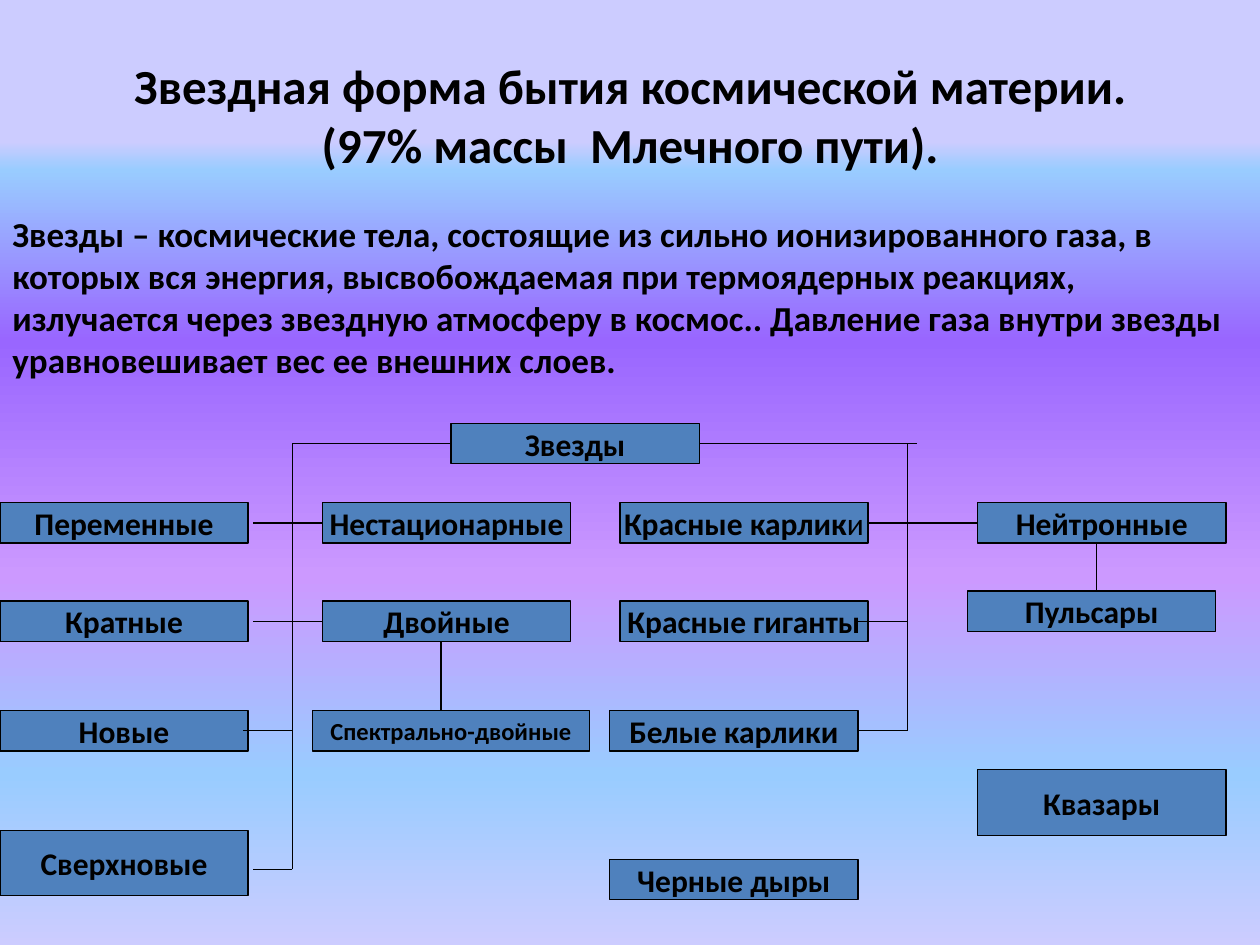
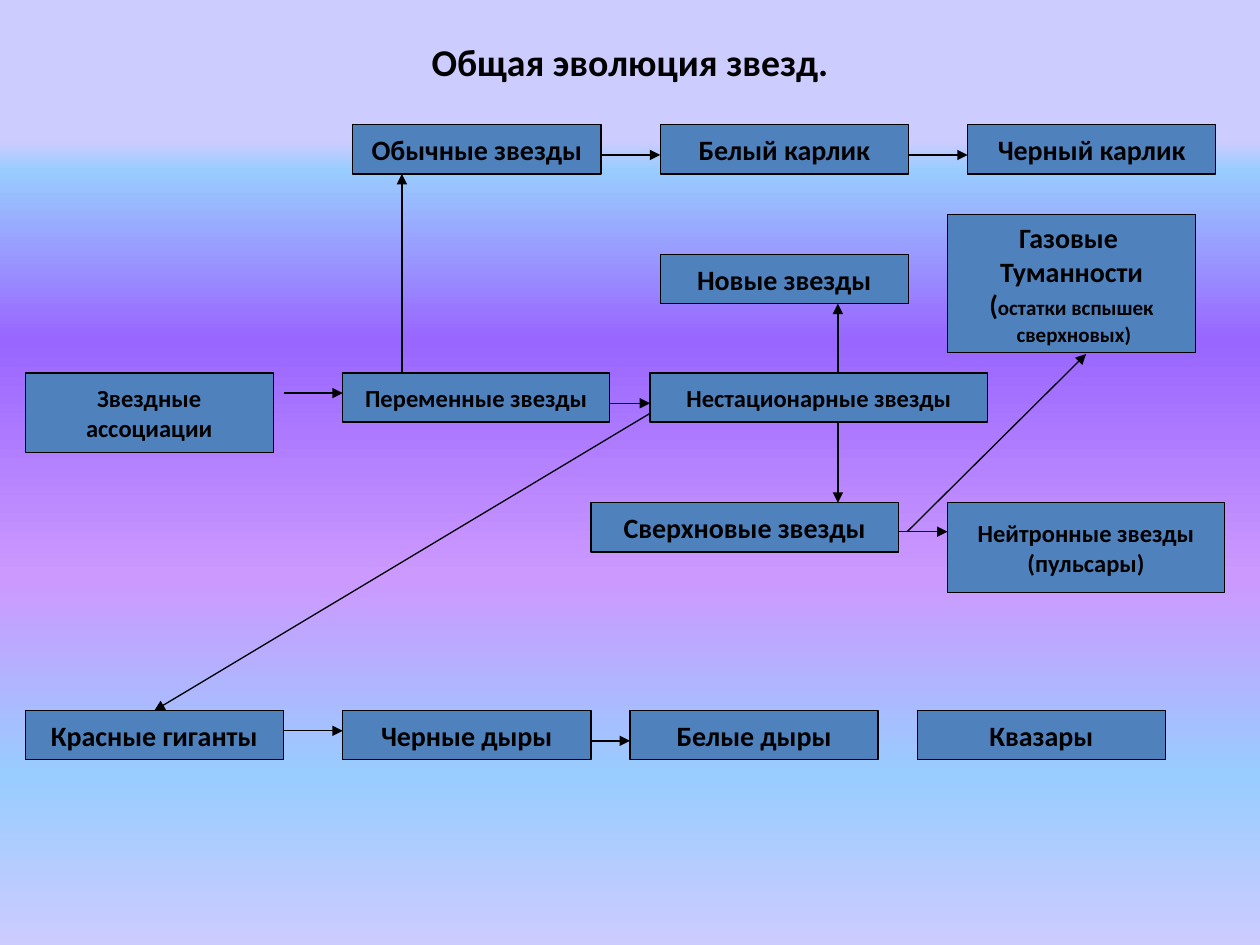
from dataclasses import dataclass

from lxml import etree
from pptx import Presentation
from pptx.dml.color import RGBColor
from pptx.enum.shapes import MSO_CONNECTOR, MSO_SHAPE
from pptx.enum.text import MSO_ANCHOR, MSO_AUTO_SIZE, PP_ALIGN
from pptx.oxml.ns import qn
from pptx.util import Inches, Pt

RECTANGLE = MSO_SHAPE.RECTANGLE
STRAIGHT = MSO_CONNECTOR.STRAIGHT
MIDDLE, TOP_ANCHOR = MSO_ANCHOR.MIDDLE, MSO_ANCHOR.TOP
CENTER, LEFT_ALIGN = PP_ALIGN.CENTER, PP_ALIGN.LEFT
FIXED, GROW = MSO_AUTO_SIZE.NONE, MSO_AUTO_SIZE.SHAPE_TO_FIT_TEXT
TOP, LEFT, BOTTOM, RIGHT = range(4)


@dataclass(frozen=True)
class Theme:
    font: str = "Calibri"
    ink: RGBColor = RGBColor(0, 0, 0)
    node_fill: RGBColor = RGBColor(0x4F, 0x81, 0xBD)
    line_width: float = 0.75
    title: float = 28
    small_title: float = 21.6
    body: float = 20
    large: float = 18
    medium: float = 16
    small: float = 14
    note: float = 12
    # Position in percent, colour, opacity in percent
    sky: tuple = (
        (15, "CCCCFF", 84), (18, "99CCFF", 100), (36, "9966FF", 100),
        (61, "CC99FF", 100), (82, "99CCFF", 100), (100, "CCCCFF", 100),
    )


@dataclass(frozen=True)
class Box:
    left: float
    top: float
    width: float
    height: float

    def inches(self):
        return [Inches(n) for n in (self.left, self.top, self.width, self.height)]

    def inner(self, left, top, width, height):
        return Box(self.left + left, self.top + top, width, height)


THEME = Theme()
NODE_WIDTH = 1.97


def set_attributes(target, values):
    for name, value in values.items():
        setattr(target, name, value)


def style_master(presentation):
    """Give every slide the sky gradient and the bold title style."""
    master = presentation.slide_master
    fill = master.background.fill
    fill.gradient()
    fill.gradient_angle = 270
    stops = master.element.find(".//" + qn("a:gsLst"))
    stops.clear()
    for position, color, opacity in THEME.sky:
        stop = etree.SubElement(stops, qn("a:gs"), pos=str(position * 1000))
        tone = etree.SubElement(stop, qn("a:srgbClr"), val=color)
        if opacity < 100:
            etree.SubElement(tone, qn("a:alpha"), val=str(opacity * 1000))
    style = master.element.find(".//" + qn("p:titleStyle"))
    defaults = style.find(".//" + qn("a:defRPr"))
    defaults.set("sz", str(THEME.title * 100))
    defaults.set("b", "1")


def write(frame, label, size, align=CENTER, **frame_format):
    """Write a string, or a list of lines made of (text, format) runs."""
    set_attributes(frame, frame_format)
    if isinstance(label, str):
        label = [[(line, {})] for line in label.split("\n")]
    for index, line in enumerate(label):
        paragraph = frame.paragraphs[0] if index == 0 else frame.add_paragraph()
        paragraph.alignment = align
        for text, changes in line:
            run = paragraph.add_run()
            run.text = text
            values = {"name": THEME.font, "size": Pt(size), "bold": True}
            set_attributes(run.font, values | changes)
            run.font.color.rgb = THEME.ink


def add_title(slide, box, lines, size):
    title = slide.shapes.title
    names = ("left", "top", "width", "height")
    set_attributes(title, dict(zip(names, box.inches())))
    frame = title.text_frame
    write(frame, lines[0], size, vertical_anchor=MIDDLE, auto_size=FIXED)
    paragraph = frame.paragraphs[0]
    for line in lines[1:]:
        paragraph.add_line_break()
        run = paragraph.add_run()
        run.text = line
        set_attributes(run.font, {"name": THEME.font, "size": Pt(size), "bold": True})
        run.font.color.rgb = THEME.ink


def add_definition(slide, box, text):
    shape = slide.shapes.add_textbox(*box.inches())
    write(shape.text_frame, text, THEME.body, LEFT_ALIGN,
          word_wrap=True, vertical_anchor=TOP_ANCHOR, auto_size=GROW)


def add_node(slide, box, label, size):
    shape = slide.shapes.add_shape(RECTANGLE, *box.inches())
    shape.shadow.inherit = False
    shape.fill.solid()
    shape.fill.fore_color.rgb = THEME.node_fill
    shape.line.color.rgb = THEME.ink
    shape.line.width = Pt(THEME.line_width)
    write(shape.text_frame, label, size, word_wrap=False, vertical_anchor=MIDDLE)
    return shape


def add_link(slide, box, nodes, start, end, arrow):
    """Join two ends, each a point in the box or a (node, side) pair."""
    joined = [isinstance(place[0], str) for place in (start, end)]
    points = []
    for place, is_joined in zip((start, end), joined):
        x, y = (0, 0) if is_joined else place
        points += [Inches(box.left + x), Inches(box.top + y)]
    connector = slide.shapes.add_connector(STRAIGHT, *points)
    if joined[0]:
        connector.begin_connect(nodes[start[0]], start[1])
    if joined[1]:
        connector.end_connect(nodes[end[0]], end[1])
    connector.line.color.rgb = THEME.ink
    connector.line.width = Pt(THEME.line_width)
    properties = connector.element.spPr
    if arrow:
        line = properties.find(qn("a:ln"))
        etree.SubElement(line, qn("a:tailEnd"), type="triangle")
    etree.SubElement(properties, qn("a:effectLst"))


def add_diagram(slide, box, node_rows, links, arrow=False):
    """Draw nodes (name, label, left, top, width, height, size) and links."""
    nodes = {}
    for name, label, left, top, width, height, size in node_rows:
        area = box.inner(left, top, width, height)
        nodes[name] = add_node(slide, area, label or name, size)
    for start, end in links:
        add_link(slide, box, nodes, start, end, arrow)


def add_star_types(slide, box):
    height, tall = 0.32, 0.52
    columns = (0, 2.56, 4.92, 7.76)
    rows = (0.63, 1.41, 2.28)
    centers = [row + height / 2 for row in rows]
    root_center, left_trunk, right_trunk = height / 2, 2.32, 7.2
    supernova_center = 3.54

    dwarfs = [[("Красные карлик", {}), ("и", {"bold": False})]]
    places = [
        ("Звезды", 3.58, 0, height),
        ("Переменные", columns[0], rows[0], height),
        ("Кратные", columns[0], rows[1], height),
        ("Новые", columns[0], rows[2], height),
        ("Сверхновые", columns[0], 3.23, tall),
        ("Нестационарные", columns[1], rows[0], height),
        ("Двойные", columns[1], rows[1], height),
        ("Красные карлики", columns[2], rows[0], height),
        ("Красные гиганты", columns[2], rows[1], height),
        ("Белые карлики", 4.84, rows[2], height),
        ("Черные дыры", 4.84, 3.46, height),
        ("Нейтронные", columns[3], rows[0], height),
        ("Пульсары", 7.68, 1.33, height),
        ("Квазары", columns[3], 2.75, tall),
    ]
    labels = {"Красные карлики": dwarfs}
    nodes = [
        (name, labels.get(name), left, top, NODE_WIDTH, node_height, THEME.large)
        for name, left, top, node_height in places
    ]
    nodes.append(("Спектрально-двойные", None, 2.48, rows[2], 2.2, height, THEME.small))

    links = [
        # Left branch
        (("Звезды", LEFT), (left_trunk, root_center)),
        ((left_trunk, root_center), (left_trunk, supernova_center)),
        ((2.01, centers[0]), ("Нестационарные", LEFT)),
        ((2.01, centers[1]), ("Двойные", LEFT)),
        ((left_trunk, centers[2]), (1.93, centers[2])),
        ((3.5, rows[1] + height), (3.5, rows[2])),
        ((left_trunk, supernova_center), (2.01, supernova_center)),
        # Right branch
        (("Звезды", RIGHT), (7.28, root_center)),
        ((right_trunk, root_center), (right_trunk, centers[2])),
        (("Красные карлики", RIGHT), ("Нейтронные", LEFT)),
        ((right_trunk, centers[1]), (6.81, centers[1])),
        ((right_trunk, centers[2]), ("Белые карлики", RIGHT)),
        ((8.7, rows[0] + height), (8.7, 1.33)),
    ]
    add_diagram(slide, box, nodes, links)


def add_evolution(slide, box):
    height = 0.39
    middle_row, supernova_row, bottom_row = 1.97, 3, 4.65
    medium, small = THEME.medium, THEME.small
    nebulae = [
        [("Газовые ", {})],
        [("Туманности", {})],
        [("(", {}), ("остатки вспышек", {"size": Pt(THEME.note)})],
        [(" сверхновых)", {"size": Pt(THEME.note)})],
    ]
    # Top row in equal steps
    top_row = ("Обычные звезды", "Белый карлик", "Черный карлик")
    nodes = [
        (name, None, 2.6 + index * 2.44, 0, NODE_WIDTH, height, medium)
        for index, name in enumerate(top_row)
    ]
    nodes += [
        ("Новые звезды", None, 5.04, 1.03, NODE_WIDTH, height, medium),
        ("Туманности", nebulae, 7.32, 0.71, NODE_WIDTH, 1.1, medium),
        ("Звездные\nассоциации", None, 0, middle_row, NODE_WIDTH, 0.63, small),
        ("Переменные звезды", None, 2.52, middle_row, 2.12, height, small),
        ("Нестационарные звезды", None, 4.96, middle_row, 2.68, height, small),
        ("Сверхновые звезды", None, 4.49, supernova_row, 2.44, height, medium),
        ("Нейтронные звезды\n(пульсары)", None, 7.32, supernova_row, 2.2, 0.71, small),
        ("Красные гиганты", None, 0, bottom_row, 2.05, height, medium),
        ("Черные дыры", None, 2.52, bottom_row, NODE_WIDTH, height, medium),
        ("Белые дыры", None, 4.8, bottom_row, NODE_WIDTH, height, medium),
        ("Квазары", None, 7.08, bottom_row, NODE_WIDTH, height, medium),
    ]
    links = [
        # Along the rows
        ((4.57, 0.24), (5.04, 0.24)),
        ((7.01, 0.24), (7.48, 0.24)),
        ((2.05, 2.13), (2.52, 2.13)),
        ((4.64, 2.21), (4.96, 2.21)),
        ((6.93, 3.23), (7.32, 3.23)),
        ((2.05, 4.81), (2.52, 4.81)),
        ((4.49, 4.89), (4.8, 4.89)),
        # Between the rows
        ((2.99, middle_row), (2.99, height)),
        ((6.45, middle_row), (6.45, 1.42)),
        ((6.45, middle_row + height), (6.45, supernova_row)),
        ((7, 3.23), (8.42, 1.82)),
        ((4.96, 2.29), ("Красные гиганты", TOP)),
    ]
    add_diagram(slide, box, nodes, links, arrow=True)


def main():
    presentation = Presentation()
    presentation.slide_width = Inches(10)
    presentation.slide_height = Inches(7.5)
    style_master(presentation)
    title_only = presentation.slide_layouts[5]

    # Types of stars
    slide = presentation.slides.add_slide(title_only)
    title = ("Звездная форма бытия космической материи.",
             "(97% массы  Млечного пути).")
    add_title(slide, Box(0, 0.28, 10, 1.25), title, THEME.title)
    add_definition(
        slide, Box(0, 1.64, 10, 1.45),
        "Звезды – космические тела, состоящие из сильно ионизированного газа, "
        "в которых вся энергия, высвобождаемая при термоядерных реакциях, "
        "излучается через звездную атмосферу в космос.. Давление газа внутри "
        "звезды уравновешивает вес ее внешних слоев.")
    add_star_types(slide, Box(0, 3.36, 9.73, 3.78))

    # Evolution of stars
    slide = presentation.slides.add_slide(title_only)
    add_title(slide, Box(0.5, 0.3, 9, 0.38), ("Общая эволюция звезд.",),
              THEME.small_title)
    add_evolution(slide, Box(0.2, 0.99, 9.52, 5.04))

    presentation.save("out.pptx")


if __name__ == "__main__":
    main()
